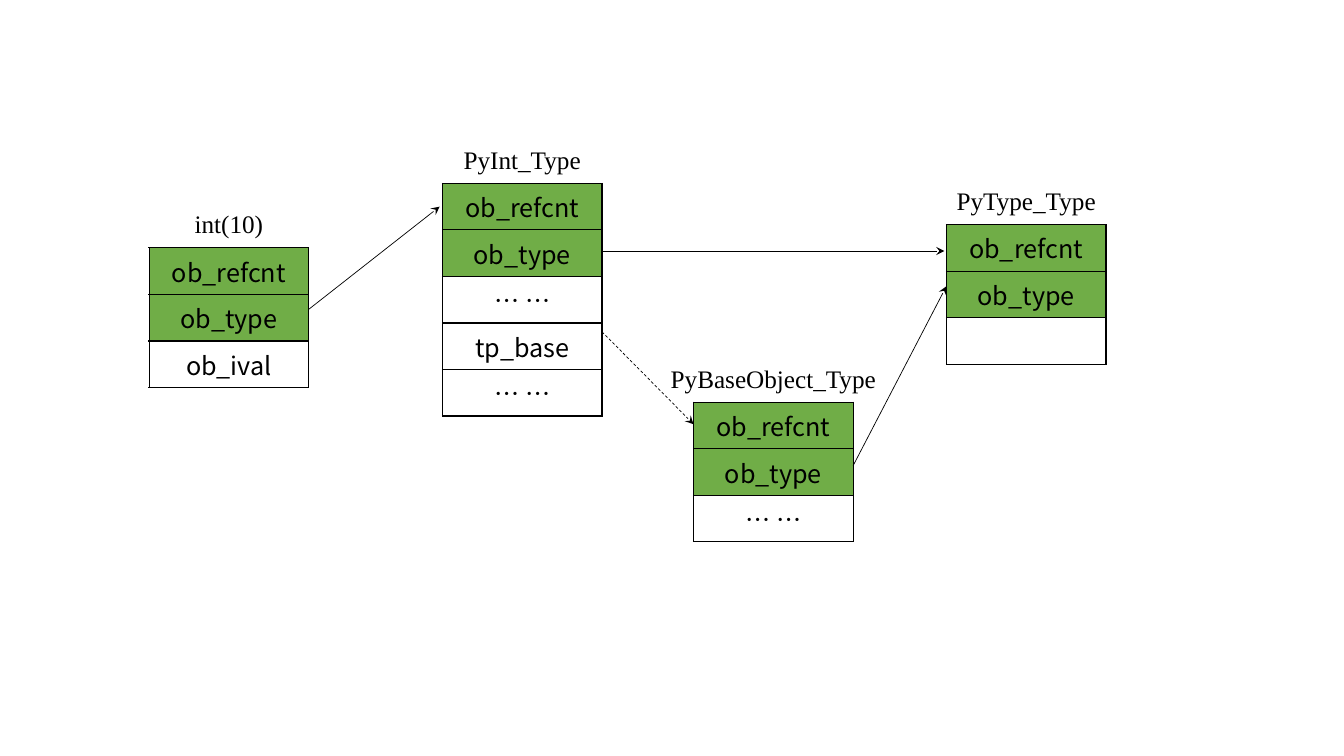
from lxml.etree import SubElement
from pptx import Presentation
from pptx.dml.color import RGBColor
from pptx.enum.dml import MSO_LINE
from pptx.enum.shapes import MSO_CONNECTOR
from pptx.enum.text import MSO_AUTO_SIZE, PP_ALIGN
from pptx.oxml import parse_xml
from pptx.oxml.ns import nsdecls, qn
from pptx.util import Pt

BLACK, GREEN, WHITE = "000000", "70AD47", "FFFFFF"
WIDTH, ROW, LABEL_RISE, LABEL_HEIGHT = 114, 33.25, 31.7, 29


def color(hex_text):
    """Turn a hex string into a colour."""
    return RGBColor.from_string(hex_text)


class Canvas:
    """Draw styled elements on the current slide."""

    cell_font = {"name": "Noto Sans CJK SC", "size": Pt(18)}
    label_font = {"name": "Times New Roman", "size": Pt(18)}

    def __init__(self, slide):
        self.shapes = slide.shapes

    def put_text(self, tf, text, font):
        """Put one centred run in a text frame."""
        p = tf.paragraphs[0]
        p.alignment = PP_ALIGN.CENTER
        if text:
            r = p.add_run()
            r.text = text
            for name, value in font.items():
                setattr(r.font, name, value)
            r.font.color.rgb = color(BLACK)

    def border(self, cell):
        """Outline a cell on all four sides."""
        tc_pr = cell._tc.get_or_add_tcPr()
        for i, side in enumerate("LRTB"):
            tc_pr.insert(i, parse_xml(
                f'<a:ln{side} {nsdecls("a")} w="{Pt(1)}"><a:solidFill>'
                f'<a:srgbClr val="{BLACK}"/></a:solidFill></a:ln{side}>'))

    def table(self, x, y, fields):
        """Draw one object as a column of fields."""
        sp = self.shapes.add_table(len(fields), 1, Pt(x), Pt(y), Pt(WIDTH), Pt(ROW * len(fields)))
        table = sp.table
        table.first_row = table.horz_banding = False
        for i, text in enumerate(fields):
            table.rows[i].height = Pt(ROW)
            cell = table.cell(i, 0)
            cell.fill.solid()
            cell.fill.fore_color.rgb = color(GREEN if i < 2 else WHITE)
            self.border(cell)
            self.put_text(cell.text_frame, text, self.cell_font)

    def label(self, center, y, width, text):
        """Place a caption centred on a given x."""
        sp = self.shapes.add_textbox(Pt(center - width / 2), Pt(y), Pt(width), Pt(LABEL_HEIGHT))
        tf = sp.text_frame
        tf.word_wrap = True
        tf.auto_size = MSO_AUTO_SIZE.SHAPE_TO_FIT_TEXT
        self.put_text(tf, text, self.label_font)

    def arrow(self, start, end, dash=None):
        """Draw a thin arrow between two points."""
        sp = self.shapes.add_connector(MSO_CONNECTOR.STRAIGHT, *map(Pt, start + end))
        sp.line.color.rgb = color(BLACK)
        for name, value in {"width": Pt(0.5), "dash_style": dash}.items():
            setattr(sp.line, name, value)
        SubElement(sp.line._get_or_add_ln(), qn("a:tailEnd"), type="stealth")
        SubElement(sp._element.spPr, qn("a:effectLst"))


prs = Presentation()
prs.slide_width, prs.slide_height = Pt(960), Pt(540)
canvas = Canvas(prs.slides.add_slide(prs.slide_layouts[6]))

objects = [
    ("int(10)", 106.5, 177, 71.5, ["ob_ival"]),
    ("PyInt_Type", 316, 131, 109, ["… …", "tp_base", "… …"]),
    ("PyBaseObject_Type", 495.4, 287.3, 164, ["… …"]),
    ("PyType_Type", 676, 160.5, 121, [""]),
]
for name, x, y, label_width, fields in objects:
    canvas.table(x, y, ["ob_refcnt", "ob_type"] + fields)
    canvas.label(x + WIDTH / 2, y - LABEL_RISE, label_width, name)

arrows = [
    ((430, 237), (495.4, 303), MSO_LINE.DASH),
    ((430, 179.3), (674.6, 179.3), None),
    ((609.4, 332.6), (676, 204.5), None),
    ((220.5, 221), (314, 147.6), None),
]
for start, end, dash in arrows:
    canvas.arrow(start, end, dash)

prs.save("out.pptx")
